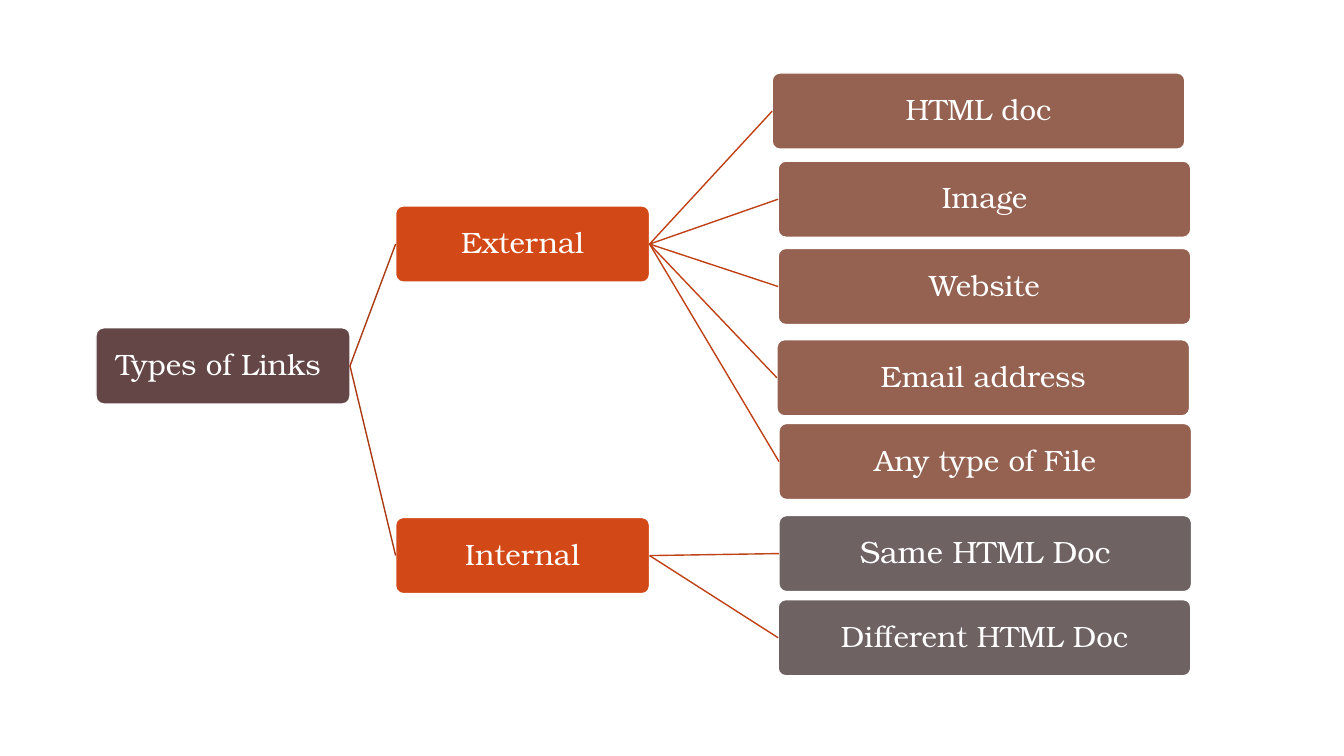
from lxml import etree
from pptx import Presentation
from pptx.dml.color import RGBColor
from pptx.enum.shapes import MSO_CONNECTOR, MSO_SHAPE
from pptx.enum.text import MSO_ANCHOR, PP_ALIGN
from pptx.oxml.ns import qn
from pptx.util import Cm, Pt

ROUNDED = MSO_SHAPE.ROUNDED_RECTANGLE
STRAIGHT = MSO_CONNECTOR.STRAIGHT
MIDDLE = MSO_ANCHOR.MIDDLE
CENTER = PP_ALIGN.CENTER

WHITE = RGBColor(0xFF, 0xFF, 0xFF)
PLUM = RGBColor(0x64, 0x46, 0x46)
ORANGE = RGBColor(0xD3, 0x48, 0x17)
BROWN = RGBColor(0x95, 0x62, 0x51)
GREY = RGBColor(0x6E, 0x62, 0x63)
ROOT_LINE = RGBColor(0xA9, 0x3A, 0x12)
BRANCH_LINE = RGBColor(0xBF, 0x41, 0x15)

FONT = "TeX Gyre Bonum"
NODE_HEIGHT = 1.92
KIND_WIDTH, TARGET_WIDTH = 6.4, 10.4
LEFT_SITE, RIGHT_SITE = 1, 3

# Link kind: name, centre height, colour of its targets, and the targets
# as (text, left, centre height, text size)
LINK_KINDS = [
    ("External", 6.15, BROWN, [
        ("HTML doc", 19.46, 2.8, 21),
        ("Image", 19.61, 5.02, 21),
        ("Website", 19.61, 7.22, 21),
        ("Email address", 19.58, 9.52, 21),
        ("Any type of File", 19.63, 11.63, 21),
    ]),
    ("Internal", 14.0, GREY, [
        ("Same HTML Doc", 19.63, 13.95, 22),
        ("Different HTML Doc", 19.61, 16.07, 21),
    ]),
]


class TreeSlide:
    """Draws the nodes and branches of a tree on one slide."""

    def __init__(self, slide):
        self.shapes = slide.shapes

    def node(self, text, left, middle, width, fill, size=21):
        box = self.shapes.add_shape(
            ROUNDED, Cm(left), Cm(middle - NODE_HEIGHT / 2), Cm(width), Cm(NODE_HEIGHT))
        box.adjustments[0] = 0.1
        box.shadow.inherit = False
        box.fill.solid()
        box.fill.fore_color.rgb = fill
        box.line.color.rgb = WHITE
        box.line.width = Pt(1)

        frame = box.text_frame
        frame.word_wrap = True
        frame.vertical_anchor = MIDDLE
        frame.margin_left = frame.margin_right = Cm(0.08)
        frame.margin_top = frame.margin_bottom = Cm(0.03)
        frame.text = text
        paragraph = frame.paragraphs[0]
        paragraph.alignment = CENTER
        paragraph.line_spacing = 0.9
        font = paragraph.runs[0].font
        font.name = FONT
        font.size = Pt(size)
        font.color.rgb = WHITE
        return box

    def branch(self, parent, child, color):
        line = self.shapes.add_connector(STRAIGHT, 0, 0, 0, 0)
        line.begin_connect(parent, RIGHT_SITE)
        line.end_connect(child, LEFT_SITE)
        line.line.color.rgb = color
        line.line.width = Pt(1)
        etree.SubElement(line._element.spPr, qn("a:effectLst"))


def main():
    presentation = Presentation()
    presentation.slide_width = Cm(33.87)
    presentation.slide_height = Cm(19.05)
    blank_layout = presentation.slide_layouts[6]
    tree = TreeSlide(presentation.slides.add_slide(blank_layout))

    # Root
    link_types = tree.node("Types of Links ", 2.42, 9.22, KIND_WIDTH, PLUM)

    # Link kinds and their targets
    for name, middle, target_fill, targets in LINK_KINDS:
        kind = tree.node(name, 9.97, middle, KIND_WIDTH, ORANGE)
        tree.branch(link_types, kind, ROOT_LINE)
        for text, left, target_middle, size in targets:
            target = tree.node(text, left, target_middle, TARGET_WIDTH, target_fill, size)
            tree.branch(kind, target, BRANCH_LINE)

    presentation.save("out.pptx")


if __name__ == "__main__":
    main()
